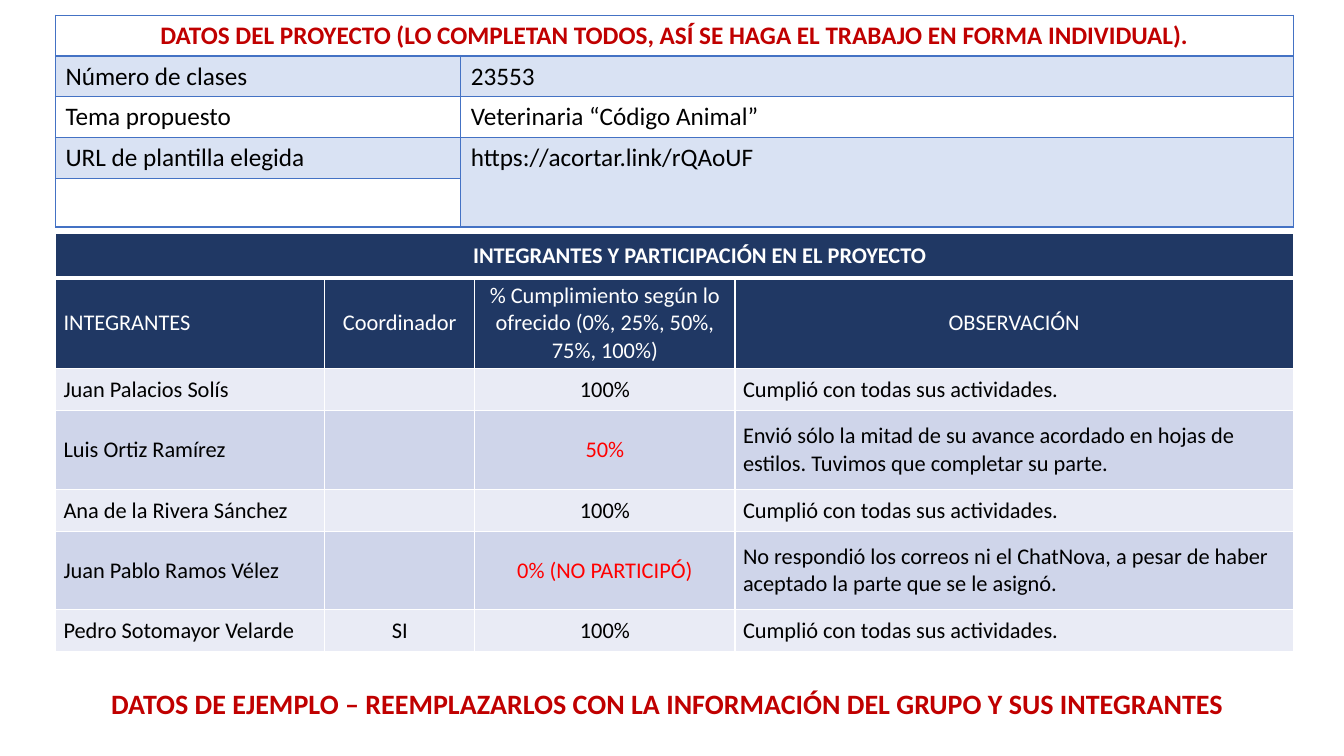
from lxml.etree import SubElement
from pptx import Presentation
from pptx.dml.color import RGBColor
from pptx.enum.text import MSO_ANCHOR, PP_ALIGN
from pptx.oxml.ns import qn
from pptx.util import Emu, Pt

PX = 9144  # 100 px to the inch
NAVY, BLUE, CRIMSON, RED = "203864", "4472C4", "C00000", "FF0000"
WHITE, BLACK, BAND_LIGHT, BAND_DARK = "FFFFFF", "000000", "E9EBF5", "CFD5EA"


def px(n):
    return Emu(n * PX)


def color(hex_text):
    return RGBColor.from_string(hex_text)


def write(tf, text, size=16, fill=BLACK, bold=False, center=False, indent=0):
    p = tf.paragraphs[0]
    p.alignment = PP_ALIGN.CENTER if center else PP_ALIGN.LEFT
    if indent:
        p.level = 1
        p._p.get_or_add_pPr().set("marL", str(px(indent)))
    r = p.add_run()
    r.text = text
    r.font.name = "Calibri"
    r.font.size = Pt(size)
    r.font.bold = bold
    r.font.color.rgb = color(fill)


class Deck:
    def __init__(self, width, height):
        self.prs = Presentation()
        self.prs.slide_width, self.prs.slide_height = px(width), px(height)
        self.s = self.prs.slides.add_slide(self.prs.slide_layouts[6])

    def table(self, x, y, cols, rows, line, header_line):
        """Add a plain table whose first row is one merged title cell."""
        frame = self.s.shapes.add_table(len(rows), len(cols), px(x), px(y),
                                        px(sum(cols)), px(sum(rows)))
        table = frame.table
        table.first_row = table.horz_banding = False
        for column, width in zip(table.columns, cols):
            column.width = px(width)
        for i, height in enumerate(rows):
            table.rows[i].height = px(height)
            for cell in table.rows[i].cells:
                top = header_line if i == 1 else 1
                bottom = header_line if i == 0 else 1
                self.borders(cell, line, L=1, R=1, T=top, B=bottom)
        table.cell(0, 0).merge(table.cell(0, len(cols) - 1))
        return table

    def borders(self, cell, line, **widths):
        tc_pr = cell._tc.get_or_add_tcPr()
        for side, width in widths.items():
            ln = SubElement(tc_pr, qn(f"a:ln{side}"), w=str(Pt(width)))
            SubElement(SubElement(ln, qn("a:solidFill")),
                       qn("a:srgbClr"), val=line)

    def fill(self, cell, hex_text=None, alpha=None):
        if hex_text is None:
            cell.fill.background()
            return
        cell.fill.solid()
        cell.fill.fore_color.rgb = color(hex_text)
        if alpha:
            clr = cell._tc.tcPr.find(qn("a:solidFill")).find(qn("a:srgbClr"))
            SubElement(clr, qn("a:alpha"), val=str(alpha * 1000))

    def inset(self, cell):
        cell.vertical_anchor = MSO_ANCHOR.MIDDLE
        cell.margin_left = cell.margin_right = px(8)
        cell.margin_top = cell.margin_bottom = px(4)

    def text(self, x, y, w, h, text, **fmt):
        tf = self.s.shapes.add_textbox(px(x), px(y), px(w), px(h)).text_frame
        tf.word_wrap = True
        write(tf, text, **fmt)


PROJECT = [
    ("Número de clases", "23553"),
    ("Tema propuesto", "Veterinaria “Código Animal”"),
    ("URL de plantilla elegida", "https://acortar.link/rQAoUF"),
    ("", ""),
]
HEADINGS = ("INTEGRANTES", "Coordinador",
            "% Cumplimiento según lo ofrecido (0%, 25%, 50%, 75%, 100%)",
            "OBSERVACIÓN")
DONE = "Cumplió con todas sus actividades."
MEMBERS = [
    ("Juan Palacios Solís", "", "100%", DONE),
    ("Luis Ortiz Ramírez", "", "50%",
     "Envió sólo la mitad de su avance acordado en hojas de estilos. "
     "Tuvimos que completar su parte."),
    ("Ana de la Rivera Sánchez", "", "100%", DONE),
    ("Juan Pablo Ramos Vélez", "", "0% (NO PARTICIPÓ)",
     "No respondió los correos ni el ChatNova, a pesar de haber "
     "aceptado la parte que se le asignó."),
    ("Pedro Sotomayor Velarde", "SI", "100%", DONE),
]


def project_table(deck):
    table = deck.table(55, 15, [402, 826], [40] * 4 + [48], BLUE, 2)
    title = table.cell(0, 0)
    deck.fill(title)
    write(title.text_frame, "DATOS DEL PROYECTO (LO COMPLETAN TODOS, ASÍ SE "
          "HAGA EL TRABAJO EN FORMA INDIVIDUAL).",
          size=18, fill=CRIMSON, bold=True, center=True)
    for i, row in enumerate(PROJECT, 1):
        for j, value in enumerate(row):
            cell = table.cell(i, j)
            if i % 2:
                deck.fill(cell, BLUE, alpha=20)
            else:
                deck.fill(cell)
            if value:
                write(cell.text_frame, value, size=18)
    table.cell(3, 1).merge(table.cell(4, 1))


def members_table(deck):
    table = deck.table(55, 232, [267, 149, 258, 554],
                       [44, 89, 42, 78, 42, 77, 42], WHITE, 3)
    title = table.cell(0, 0)
    deck.inset(title)
    deck.fill(title, NAVY)
    write(title.text_frame, "INTEGRANTES Y PARTICIPACIÓN EN EL PROYECTO",
          fill=WHITE, bold=True, center=True, indent=50)
    for i, row in enumerate([HEADINGS] + MEMBERS, 1):
        heading = i == 1
        band = BAND_DARK if i % 2 else BAND_LIGHT
        for j, value in enumerate(row):
            cell = table.cell(i, j)
            deck.inset(cell)
            deck.fill(cell, NAVY if heading else band)
            missed = j == 2 and value != "100%"
            ink = WHITE if heading else RED if missed else BLACK
            if value:
                write(cell.text_frame, value, fill=ink,
                      center=j in (1, 2) or (heading and j == 3))


def main():
    deck = Deck(1333, 750)
    # Members and their participation
    members_table(deck)
    # Project data
    project_table(deck)
    # Closing note
    deck.text(41, 676, 1242, 44, "DATOS DE EJEMPLO – REEMPLAZARLOS CON LA "
              "INFORMACIÓN DEL GRUPO Y SUS INTEGRANTES",
              size=20, fill=CRIMSON, bold=True, center=True)
    deck.prs.save("out.pptx")


if __name__ == "__main__":
    main()
